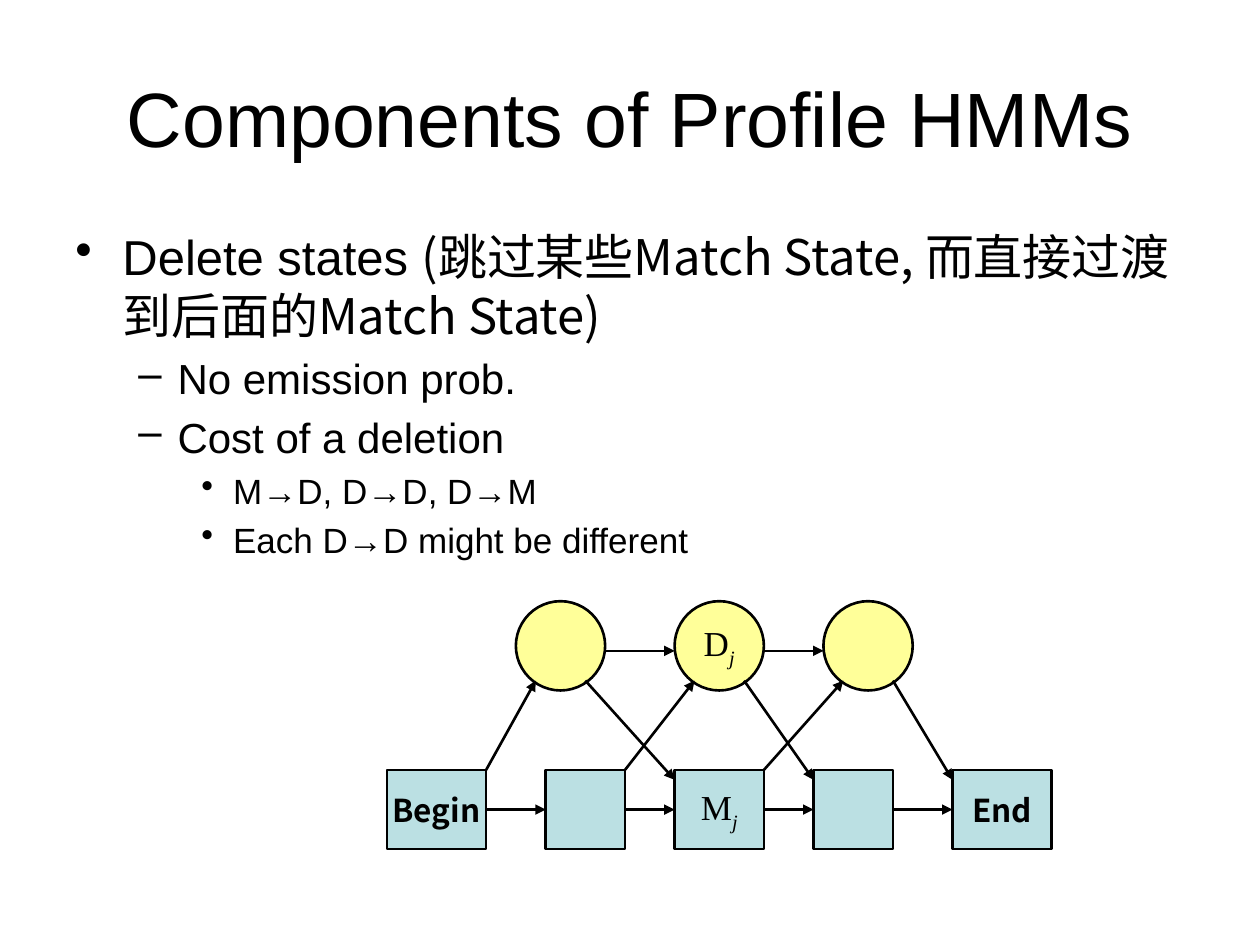
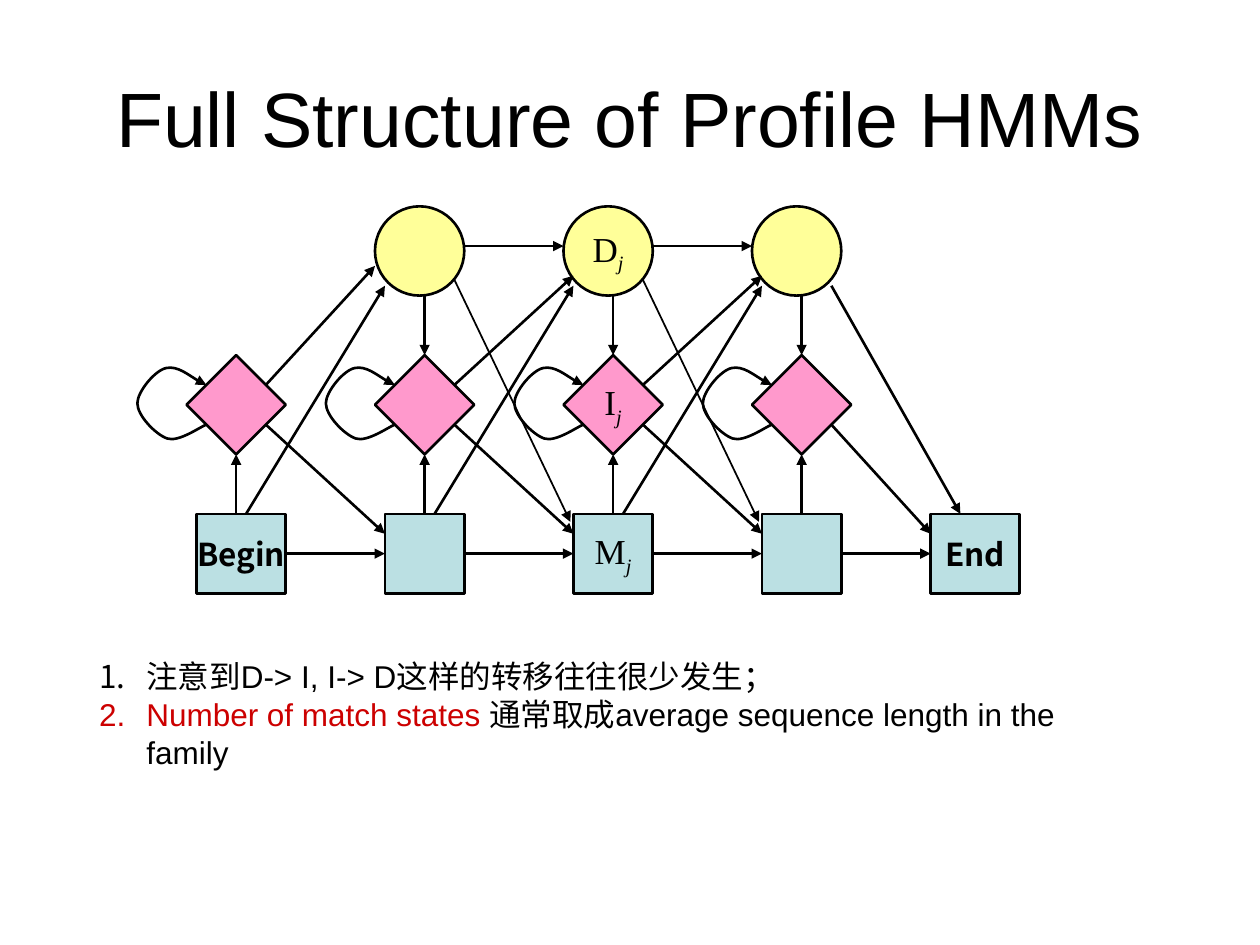
from dataclasses import dataclass
from itertools import pairwise

from lxml.etree import SubElement
from pptx import Presentation
from pptx.dml.color import RGBColor as Rgb
from pptx.enum.shapes import MSO_CONNECTOR as Connector, MSO_SHAPE as Shape
from pptx.enum.text import MSO_ANCHOR as Anchor, PP_ALIGN as Align
from pptx.oxml.ns import qn
from pptx.util import Cm, Pt


@dataclass(frozen=True)
class Theme:
    ink: Rgb = Rgb(0, 0, 0)
    accent: Rgb = Rgb(0xCC, 0, 0)
    match: Rgb = Rgb(0xBB, 0xE0, 0xE3)
    delete: Rgb = Rgb(0xFF, 0xFF, 0x99)
    insert: Rgb = Rgb(0xFF, 0x99, 0xCC)
    sans: str = "Arial"
    serif: str = "Times New Roman"
    chinese: str = "Noto Sans CJK SC"
    label: str = "Noto Sans CJK KR"
    title_size: int = 44
    level_sizes: tuple = (28, 24, 20)
    label_size: int = 18
    state_size: int = 20
    note_size: int = 18
    line: float = 1.5
    thin_line: float = 1


THEME = Theme()
# Left indent and hanging indent of each outline level, in cm
INDENTS = ((0.95, 0.95), (2.06, 0.79), (3.18, 0.64))
BULLETS = "•–•"

# Sizes in cm
BOX_HEIGHT = 1.6
CIRCLE = 1.8
DIAMOND = 2

# Self-loop of an insert state: start point, then cubic control points,
# measured from the column's left edge and the diamond's top
LOOP = ((0.2, 1.4),
        (0.07, 1.45), (-0.36, 1.76), (-0.59, 1.68),
        (-0.82, 1.6), (-1.19, 1.22), (-1.19, 0.97),
        (-1.19, 0.74), (-0.84, 0.31), (-0.61, 0.26),
        (-0.38, 0.21), (0.03, 0.54), (0.2, 0.6))


# Text
def style_font(font, size, name=THEME.sans, color=THEME.ink, bold=None):
    font.size, font.name, font.bold = Pt(size), name, bold
    font.color.rgb = color


def add_span(para, text, latin=None, color=None):
    span = para.add_run()
    span.text = text
    if latin:
        span.font.name = latin
    if color is not None:
        span.font.color.rgb = color
    SubElement(span._r.get_or_add_rPr(), qn("a:ea"), typeface=THEME.chinese)
    return span


def add_bullet(para, level, tag, **attributes):
    left, hanging = INDENTS[level]
    properties = para._p.get_or_add_pPr()
    properties.set("marL", str(Cm(left)))
    properties.set("indent", str(-Cm(hanging)))
    SubElement(properties, qn(tag), **attributes)


def add_text_box(slide, left, top, width, height):
    box = slide.shapes.add_textbox(Cm(left), Cm(top), Cm(width), Cm(height))
    box.text_frame.word_wrap = True
    return box.text_frame


def paragraphs(frame, items):
    """Pair each item with a paragraph, reusing the frame's first one."""
    for index, item in enumerate(items):
        yield (frame.add_paragraph() if index else frame.paragraphs[0]), item


def add_outline(slide, items):
    frame = add_text_box(slide, 1.27, 4.45, 22.86, 12.57)
    for para, (level, *spans) in paragraphs(frame, items):
        size = THEME.level_sizes[level]
        para.level = level
        add_bullet(para, level, "a:buChar", char=BULLETS[level])
        para.space_before = Pt(size * 0.2)
        style_font(para.font, size)
        for text, latin in spans:
            add_span(para, text, latin)


def add_numbered_notes(slide, items):
    frame = add_text_box(slide, 1.75, 13.13, 21, 2.57)
    for para, spans in paragraphs(frame, items):
        add_bullet(para, 0, "a:buAutoNum", type="arabicPeriod")
        style_font(para.font, THEME.note_size)
        for text, color in spans:
            add_span(para, text, color=color)


def add_titled_slide(deck, text):
    slide = deck.slides.add_slide(deck.slide_layouts[5])
    title = slide.shapes.title
    title.left, title.top = Cm(1.27), Cm(0.76)
    title.width, title.height = Cm(22.86), Cm(3.18)
    title.text_frame.text = text
    title.text_frame.vertical_anchor = Anchor.MIDDLE
    para = title.text_frame.paragraphs[0]
    para.alignment = Align.CENTER
    style_font(para.font, THEME.title_size)
    return slide


# Diagram parts
def style_line(line, width=THEME.line, arrow=False):
    line.color.rgb = THEME.ink
    line.width = Pt(width)
    if arrow:
        SubElement(line._get_or_add_ln(), qn("a:tailEnd"), type="triangle")


def add_node(group, kind, color, left, top, width, height, label=""):
    """Draw a state; a one-letter label gets the subscript j."""
    node = group.shapes.add_shape(kind, Cm(left), Cm(top), Cm(width), Cm(height))
    node.shadow.inherit = False
    node.fill.solid()
    node.fill.fore_color.rgb = color
    style_line(node.line)
    if not label:
        return
    frame = node.text_frame
    frame.word_wrap = False
    frame.vertical_anchor = Anchor.MIDDLE
    para = frame.paragraphs[0]
    para.alignment = Align.CENTER
    para.add_run().text = label
    if len(label) > 1:
        style_font(para.font, THEME.label_size, THEME.label, bold=True)
        return
    style_font(para.font, THEME.state_size, THEME.serif)
    subscript = para.add_run()
    subscript.text = "j"
    subscript.font.italic = True
    subscript._r.get_or_add_rPr().set("baseline", "-25000")


def add_match(group, left, top, width, label=""):
    add_node(group, Shape.RECTANGLE, THEME.match, left, top, width, BOX_HEIGHT, label)


def add_delete(group, left, top, label=""):
    add_node(group, Shape.OVAL, THEME.delete, left, top, CIRCLE, CIRCLE, label)


def add_insert(group, left, top, label=""):
    add_node(group, Shape.DIAMOND, THEME.insert, left, top, DIAMOND, DIAMOND, label)


def add_arrow(group, start, end, width=THEME.line):
    ends = [Cm(value) for value in (*start, *end)]
    arrow = group.shapes.add_connector(Connector.STRAIGHT, *ends)
    style_line(arrow.line, width, arrow=True)
    SubElement(arrow._element.spPr, qn("a:effectLst"))


def add_loop(group, left, top):
    start, *controls = [(Cm(left + x), Cm(top + y)) for x, y in LOOP]
    builder = group.shapes.build_freeform(*start)
    builder.add_line_segments(controls, close=False)
    loop = builder.convert_to_shape()
    loop.shadow.inherit = False
    loop.fill.background()
    style_line(loop.line, arrow=True)
    # Turn each three straight segments into one cubic curve
    outline = next(loop._element.iter(qn("a:path")))
    segments = outline.findall(qn("a:lnTo"))
    for first in range(0, len(segments), 3):
        curve = SubElement(outline, qn("a:cubicBezTo"))
        for segment in segments[first:first + 3]:
            curve.append(segment[0])
            outline.remove(segment)


# Slides
def draw_delete_states(slide):
    group = slide.shapes.add_group_shape()
    box_top, circle_top = 15.52, 12.12
    boxes = ((7.8, 2, "Begin"), (11, 1.6, ""), (13.6, 1.8, "M"),
             (16.4, 1.6, ""), (19.2, 2, "End"))
    circles = ((10.4, ""), (13.6, "D"), (16.6, ""))
    for left, width, label in boxes:
        add_match(group, left, box_top, width, label)
    for left, label in circles:
        add_delete(group, left, circle_top, label)

    # Along each row
    middle = box_top + BOX_HEIGHT / 2
    for (left, width, _), (next_left, *_) in pairwise(boxes):
        add_arrow(group, (left + width, middle), (next_left, middle))
    for (left, _), (next_left, _) in pairwise(circles):
        add_arrow(group, (left + CIRCLE, circle_top + 1), (next_left, circle_top + 1))

    # Up into each delete state and down past the skipped match state
    joint = circle_top + 1.6
    for (circle, _), (left, width, _), (target, *_) in zip(circles, boxes, boxes[2:]):
        add_arrow(group, (left + width, box_top), (circle + 0.4, joint))
        add_arrow(group, (circle + 1.4, joint), (target, box_top + 0.2))


def draw_full_model(slide):
    group = slide.shapes.add_group_shape()
    delete_top, insert_top, match_top = 4.16, 7.16, 10.36
    columns = [3.96 + 3.8 * index for index in range(4)]
    end_left = 18.76
    lefts = [*columns, end_left]
    widths = (1.8, 1.6, 1.6, 1.6, 1.8)
    match_labels = ("Begin", "", "M", "", "End")

    # States
    for left, width, label in zip(lefts, widths, match_labels):
        add_match(group, left, match_top, width, label)
    for left, label in zip(columns, ("", "", "I", "")):
        add_insert(group, left - 0.2, insert_top, label)
        add_loop(group, left, insert_top)
    for left, label in zip(columns[1:], ("", "D", "")):
        add_delete(group, left - 0.2, delete_top, label)

    # Match and insert states to the next match state
    middle = match_top + BOX_HEIGHT / 2
    for (left, following), width in zip(pairwise(lefts), widths):
        add_arrow(group, (left + width, middle), (following, middle))
        add_arrow(group, (left + 1.4, insert_top + 1.4), (following, match_top + 0.4))

    # Match and delete states to the insert state of their column
    for left in columns:
        center = left + 0.8
        add_arrow(group, (center, match_top), (center, insert_top + DIAMOND))
        if left != columns[0]:
            add_arrow(group, (center, delete_top + CIRCLE), (center, insert_top))

    # Match, insert and delete states to the next delete state
    for left, following in pairwise(columns):
        is_first = left == columns[0]
        entry = (following - 0.2, 5.36) if is_first else (following, 5.56)
        add_arrow(group, (left + 1, match_top), (following, 5.76))
        add_arrow(group, (left + 1.4, insert_top + 0.6), entry)
        if not is_first:
            add_arrow(group, (left + 1.6, 4.96), (following - 0.2, 4.96))
            add_arrow(group, (left + 1.4, 5.64), (following - 0.06, 10.52),
                      THEME.thin_line)

    # Last delete state to the end
    add_arrow(group, (columns[-1] + 1.4, 5.76), (end_left + 0.6, match_top))


def main():
    deck = Presentation()
    deck.slide_width, deck.slide_height = Cm(25.4), Cm(19.05)

    components = add_titled_slide(deck, "Components of Profile HMMs")
    add_outline(components, (
        (0, ("Delete states ", None),
         ("(跳过某些Match State, 而直接过渡到后面的Match State)", THEME.chinese)),
        (1, ("No emission prob.", None)),
        (1, ("Cost of a deletion", None)),
        (2, ("M→D, D→D, D→M", None)),
        (2, ("Each D→D might be different", None)),
    ))
    draw_delete_states(components)

    structure = add_titled_slide(deck, "Full Structure of Profile HMMs")
    draw_full_model(structure)
    add_numbered_notes(structure, (
        (("注意到D-> I, I-> D这样的转移往往很少发生；", None),),
        (("Number of match states ", THEME.accent),
         ("通常取成average sequence length in the family", None)),
    ))
    deck.save("out.pptx")


if __name__ == "__main__":
    main()
